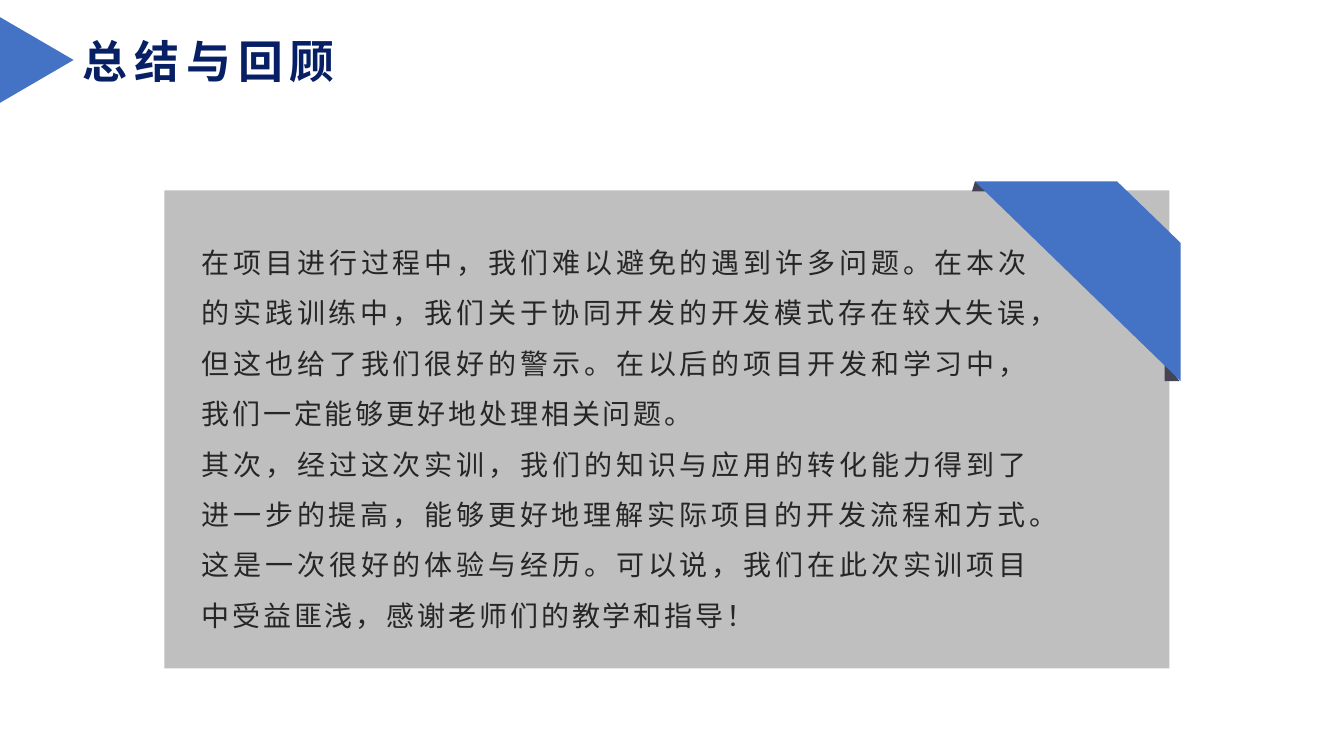
from pptx import Presentation
from pptx.dml.color import RGBColor
from pptx.enum.shapes import MSO_SHAPE as Shape
from pptx.enum.text import MSO_ANCHOR as Anchor, MSO_AUTO_SIZE as AutoSize, PP_ALIGN as Align
from pptx.oxml.ns import qn
from pptx.util import Inches, Pt
from lxml import etree

THEME = {
    "panel": "BFBFBF", "ribbon": "4472C4", "fold": "444455",
    "title": {"size": 32, "color": "071F65", "bold": True, "spacing": 5, "font": "Arial"},
    "body": {"size": 20, "color": "262626", "bold": False, "spacing": 2, "font": "Noto Sans CJK SC"},
}

SUMMARY = [
    "在项目进行过程中，我们难以避免的遇到许多问题。在本次的实践训练中，我们关于协同开发的开发模式存在较大失误，但这也给了我们很好的警示。在以后的项目开发和学习中，我们一定能够更好地处理相关问题。",
    "其次，经过这次实训，我们的知识与应用的转化能力得到了进一步的提高，能够更好地理解实际项目的开发流程和方式。这是一次很好的体验与经历。可以说，我们在此次实训项目中受益匪浅，感谢老师们的教学和指导！",
]

RIBBON_PARTS = [
    ("fold", [(11.7, 3.78), (11.55, 3.78), (11.55, 3.59)]),
    ("fold", [(9.67, 1.8), (9.64, 1.9), (9.81, 1.9)]),
    ("ribbon", [(9.67, 1.8), (11.71, 3.78), (11.71, 2.41), (11.08, 1.8)]),
]


def paint(shape, color):
    shape.shadow.inherit = False
    shape.fill.solid()
    shape.fill.fore_color.rgb = RGBColor.from_string(THEME[color])
    shape.line.fill.background()


def write(para, text, style):
    span = para.add_run()
    span.text = text
    span.font.size = Pt(style["size"])
    span.font.bold = style["bold"]
    span.font.color.rgb = RGBColor.from_string(style["color"])
    span.font.name = style["font"]
    properties = span.font._element
    properties.set("spc", str(style["spacing"] * 100))
    etree.SubElement(properties, qn("a:ea")).set("typeface", "Noto Sans CJK SC")


deck = Presentation()
deck.slide_width, deck.slide_height = Inches(13.33), Inches(7.5)
page = deck.slides.add_slide(deck.slide_layouts[5])

panel = page.shapes.add_shape(Shape.RECTANGLE, Inches(1.63), Inches(1.89), Inches(9.97), Inches(4.74))
paint(panel, "panel")

box = page.shapes.add_textbox(Inches(1.9), Inches(2.22), Inches(8.41), Inches(4.08))
frame = box.text_frame
frame.word_wrap = True
frame.auto_size = AutoSize.SHAPE_TO_FIT_TEXT
for index, text in enumerate(SUMMARY):
    para = frame.add_paragraph() if index else frame.paragraphs[0]
    para.alignment = Align.JUSTIFY
    para.line_spacing = 1.5
    write(para, text, THEME["body"])

for color, points in RIBBON_PARTS:
    outline = [(Inches(x), Inches(y)) for x, y in points]
    builder = page.shapes.build_freeform(*outline[0])
    builder.add_line_segments(outline[1:], close=True)
    paint(builder.convert_to_shape(), color)

title = page.shapes.title
place = {"left": 0.69, "top": 0.26, "width": 2.86, "height": 0.67}
for name, value in place.items():
    setattr(title, name, Inches(value))
frame = title.text_frame
margins = {"margin_left": 0.13, "margin_right": 0.13, "margin_top": 0.07, "margin_bottom": 0.07}
for name, value in margins.items():
    setattr(frame, name, Inches(value))
frame.word_wrap = False
frame.auto_size = AutoSize.SHAPE_TO_FIT_TEXT
frame.vertical_anchor = Anchor.TOP
frame.paragraphs[0].alignment = Align.LEFT
write(frame.paragraphs[0], "总结与回顾", THEME["title"])

marker = page.shapes.add_shape(Shape.ISOSCELES_TRIANGLE, Inches(-0.06), Inches(0.23), Inches(0.85), Inches(0.73))
marker.rotation = 90
paint(marker, "ribbon")

deck.save("out.pptx")
